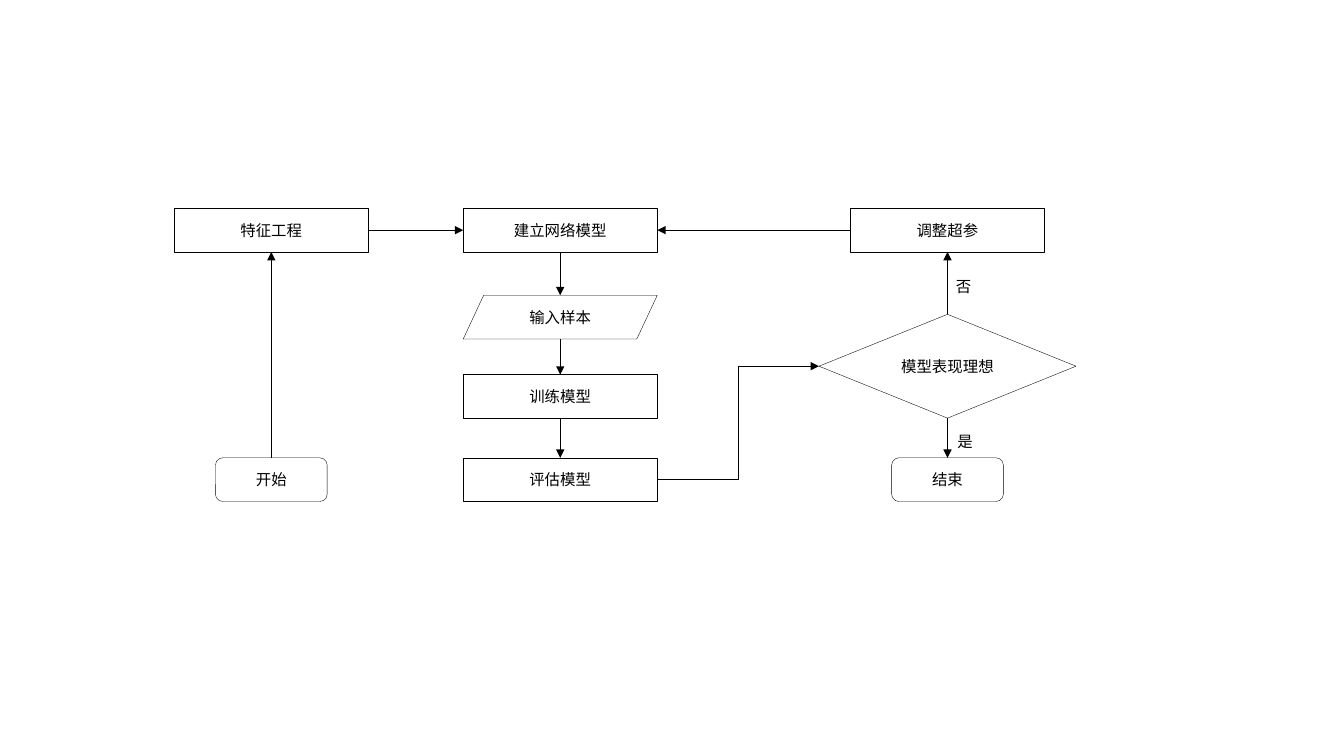
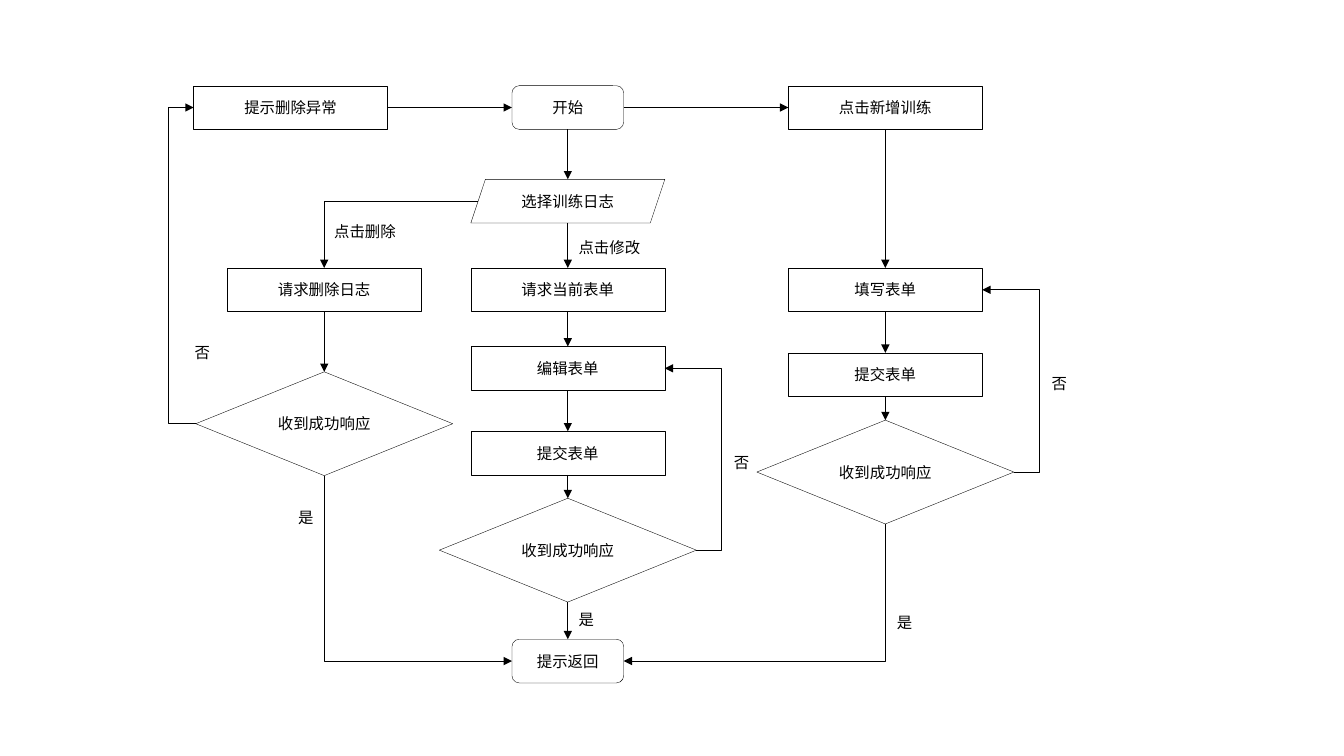
from pptx import Presentation
from pptx.dml.color import RGBColor
from pptx.enum.shapes import MSO_CONNECTOR, MSO_SHAPE
from pptx.enum.text import MSO_ANCHOR, PP_ALIGN
from pptx.oxml.ns import qn
from pptx.util import Inches, Pt
from lxml.etree import SubElement

COLS, ROWS = 160, 90
WIDE, HIGH = Inches(13.333), Inches(7.5)

# Each kind: preset, width in columns, height in rows, glue sites
RECT_SITES = dict(top=0, left=1, bottom=2, right=3)
SKEW_SITES = dict(top=0, left=2, bottom=4, right=5)
KINDS = {
    "step": (MSO_SHAPE.PARALLELOGRAM, 23.1, 5.2, SKEW_SITES),
    "pill": (MSO_SHAPE.ROUNDED_RECTANGLE, 13.3, 5.2, RECT_SITES),
    "test": (MSO_SHAPE.FLOWCHART_DECISION, 30.6, 12.36, RECT_SITES),
}


def color(code):
    """Turn a hex string into a colour."""
    return RGBColor.from_string(code)


def across(col):
    """Turn columns into a length."""
    return int(WIDE * col / COLS)


def down(row):
    """Turn rows into a length."""
    return int(HIGH * row / ROWS)


class Node:
    """A drawn flowchart node with its four docking points."""

    def __init__(self, shape, sites, slant):
        """Keep the shape, its glue sites and its slant."""
        self.shape, self.sites, self.slant = shape, sites, slant

    def dock(self, side):
        """Return the point in the middle of a side."""
        box = self.shape
        x, y = box.left + box.width // 2, box.top + box.height // 2
        inset = int(self.slant * box.height / 2)
        return {
            "top": (x, box.top),
            "bottom": (x, box.top + box.height),
            "left": (box.left + inset, y),
            "right": (box.left + box.width - inset, y),
        }[side]


class Chart:
    """Flowchart style and the current slide."""

    font, size = "Noto Sans CJK SC", 11
    ink, paper = "000000", "FFFFFF"

    def __init__(self):
        """Start an empty deck."""
        self.deck = Presentation()
        self.deck.slide_width, self.deck.slide_height = WIDE, HIGH
        self.slide = None

    def page(self):
        """Open a blank slide."""
        self.slide = self.deck.slides.add_slide(self.deck.slide_layouts[6])

    def letter(self, frame, text, align):
        """Set text and format its run."""
        frame.word_wrap = True
        frame.text = text
        line = frame.paragraphs[0]
        line.alignment = align
        for run in line.runs:
            run.font.name, run.font.size = self.font, Pt(self.size)
            run.font.color.rgb = color(self.ink)
            east = SubElement(run.font._element, qn("a:ea"))
            east.set("typeface", self.font)

    def node(self, kind, text, col, row, slant=0):
        """Draw a node centred on a grid point."""
        form, wide, high, sites = KINDS[kind]
        shape = self.slide.shapes.add_shape(
            form, across(col - wide / 2), down(row - high / 2),
            across(wide), down(high))
        if kind == "step":
            shape.adjustments[0] = slant
        shape.shadow.inherit = False
        shape.fill.solid()
        shape.fill.fore_color.rgb = color(self.paper)
        shape.line.color.rgb = color(self.ink)
        shape.line.width = Pt(0.25)
        frame = shape.text_frame
        frame.margin_left = frame.margin_right = 0
        frame.vertical_anchor = MSO_ANCHOR.MIDDLE
        self.letter(frame, text, PP_ALIGN.CENTER)
        return Node(shape, sites, slant)

    def label(self, text, col, row, wide=4.2):
        """Place a branch label with its corner on a grid point."""
        box = self.slide.shapes.add_textbox(
            across(col), down(row), across(wide), down(3.5))
        self.letter(box.text_frame, text, PP_ALIGN.LEFT)

    def link(self, start, leave, end, enter, out=None):
        """Join two nodes; out is how far a loop runs past its start."""
        (x1, y1), (x2, y2) = start.dock(leave), end.dock(enter)
        flat = [side in ("left", "right") for side in (leave, enter)]
        corner = flat[0] != flat[1]
        turn = corner and not flat[0]
        bent = corner or (flat[0] and abs(y2 - y1) > down(0.5))
        ends = x1, y1, x2, y2
        if turn:
            x, y, dx, dy = (x1 + x2) / 2, (y1 + y2) / 2, x2 - x1, y2 - y1
            ends = x - dy / 2, y + dx / 2, x + dy / 2, y - dx / 2
        form = MSO_CONNECTOR.ELBOW if bent else MSO_CONNECTOR.STRAIGHT
        line = self.slide.shapes.add_connector(form, *map(int, ends))
        props = line.element.spPr
        shape = props.find(qn("a:prstGeom"))
        if corner:
            shape.set("prst", "bentConnector2")
        if turn:
            props.find(qn("a:xfrm")).set("rot", "5400000")
        if out is not None:
            ratio = across(out) / (x2 - x1)
            guides = shape.find(qn("a:avLst"))
            if guides is None:
                guides = SubElement(shape, qn("a:avLst"))
            guide = SubElement(guides, qn("a:gd"))
            guide.set("name", "adj1")
            guide.set("fmla", f"val {round(ratio * 100000)}")
        self.glue(line, start, leave, "a:stCxn")
        self.glue(line, end, enter, "a:endCxn")
        line.line.color.rgb = color(self.ink)
        line.line.width = Pt(0.5)
        tip = SubElement(props.find(qn("a:ln")), qn("a:tailEnd"))
        tip.set("type", "triangle")
        SubElement(props, qn("a:effectLst"))

    def glue(self, line, node, side, tag):
        """Tie one end of a connector to a node."""
        tie = SubElement(line.element.nvCxnSpPr.cNvCxnSpPr, qn(tag))
        tie.set("id", str(node.shape.shape_id))
        tie.set("idx", str(node.sites[side]))

    def drop(self, *nodes):
        """Join nodes from top to bottom."""
        for above, below in zip(nodes, nodes[1:]):
            self.link(above, "bottom", below, "top")


def train(chart):
    """Draw the model training flow."""
    chart.page()
    left, mid, right = 32.3, 66.7, 112.8
    first, last = 27.4, 57.1
    start = chart.node("pill", "开始", left, last)
    prep = chart.node("step", "特征工程", left, first)
    build = chart.node("step", "建立网络模型", mid, first)
    feed = chart.node("step", "输入样本", mid, 37.75, 0.467)
    fit = chart.node("step", "训练模型", mid, 47.2)
    rate = chart.node("step", "评估模型", mid, last)
    good = chart.node("test", "模型表现理想", right, 43.6)
    tune = chart.node("step", "调整超参", right, first)
    end = chart.node("pill", "结束", right, last)
    chart.link(start, "top", prep, "bottom")
    chart.link(prep, "right", build, "left")
    chart.drop(build, feed, fit, rate)
    chart.link(rate, "right", good, "left")
    chart.link(good, "top", tune, "bottom")
    chart.link(tune, "left", build, "right")
    chart.drop(good, end)
    chart.label("否", 112.6, 32.4)
    chart.label("是", 112.8, 50.8)


def logs(chart):
    """Draw the flow for adding, editing and deleting logs."""
    chart.page()
    left, mid, right = 38.6, 67.6, 105.4
    first, third = 12.8, 34.5
    reply = "收到成功响应"
    start = chart.node("pill", "开始", mid, first)
    pick = chart.node("step", "选择训练日志", mid, 23.95, 0.333)
    load = chart.node("step", "请求当前表单", mid, third)
    edit = chart.node("step", "编辑表单", mid, 43.85)
    send = chart.node("step", "提交表单", mid, 53.95)
    saved = chart.node("test", reply, mid, 65.5)
    back = chart.node("pill", "提示返回", mid, 78.7)
    chart.drop(start, pick, load, edit, send, saved, back)
    chart.link(saved, "right", edit, "right", 3)

    erase = chart.node("step", "请求删除日志", left, third)
    gone = chart.node("test", reply, left, 50.45)
    fault = chart.node("step", "提示删除异常", 34.6, first)
    chart.link(pick, "left", erase, "top")
    chart.drop(erase, gone)
    chart.link(gone, "bottom", back, "left")
    chart.link(gone, "left", fault, "left", -3.3)
    chart.link(fault, "right", start, "left")

    new = chart.node("step", "点击新增训练", right, first)
    fill = chart.node("step", "填写表单", right, third)
    post = chart.node("step", "提交表单", right, 44.6)
    added = chart.node("test", reply, right, 56.2)
    chart.link(start, "right", new, "left")
    chart.drop(new, fill, post, added)
    chart.link(added, "right", fill, "right", 3)
    chart.link(added, "bottom", back, "right")

    chart.label("点击修改", 67.7, 27.7, 12.5)
    chart.label("点击删除", 38.6, 25.8, 11.5)
    for text, col, row in (
            ("否", 86.2, 53.3), ("是", 67.7, 72.1),
            ("否", 22, 40.3), ("是", 34.3, 59.9),
            ("否", 124, 43.9), ("是", 105.6, 72.4)):
        chart.label(text, col, row)


chart = Chart()
train(chart)
logs(chart)
chart.deck.save("out.pptx")
